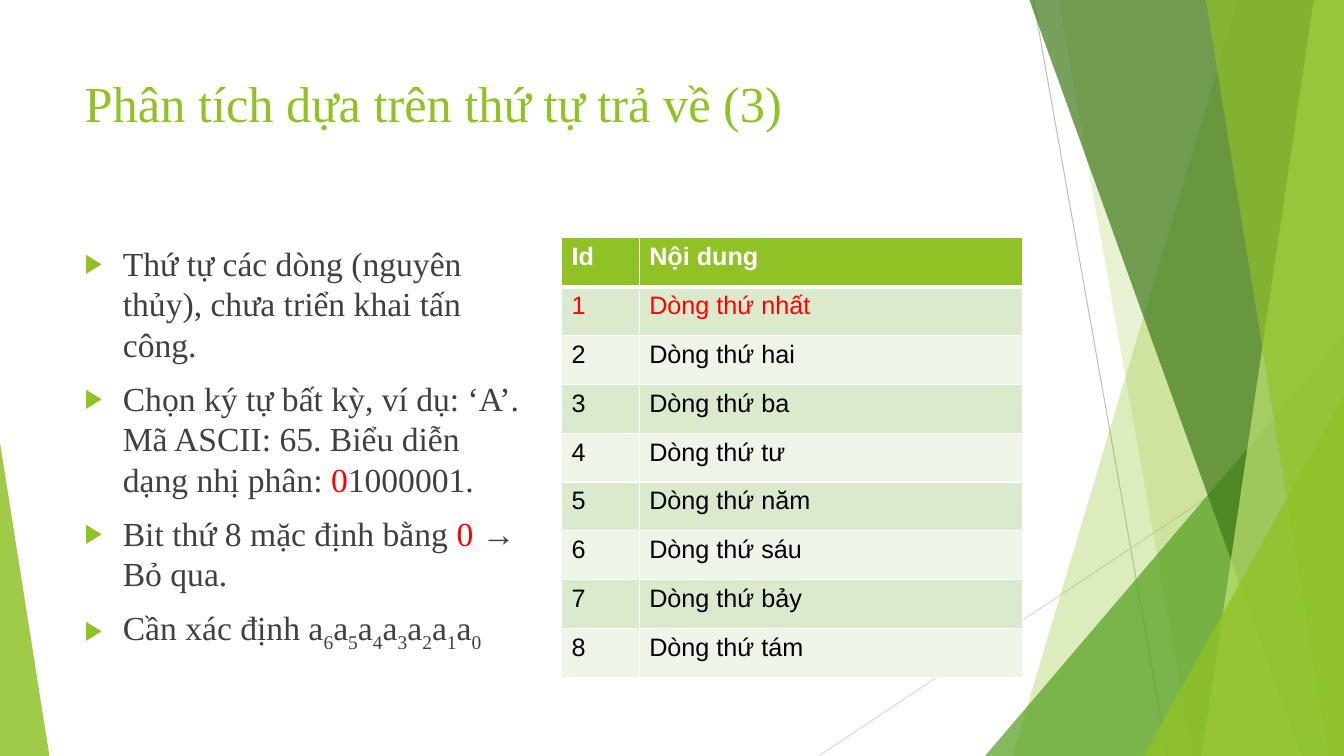
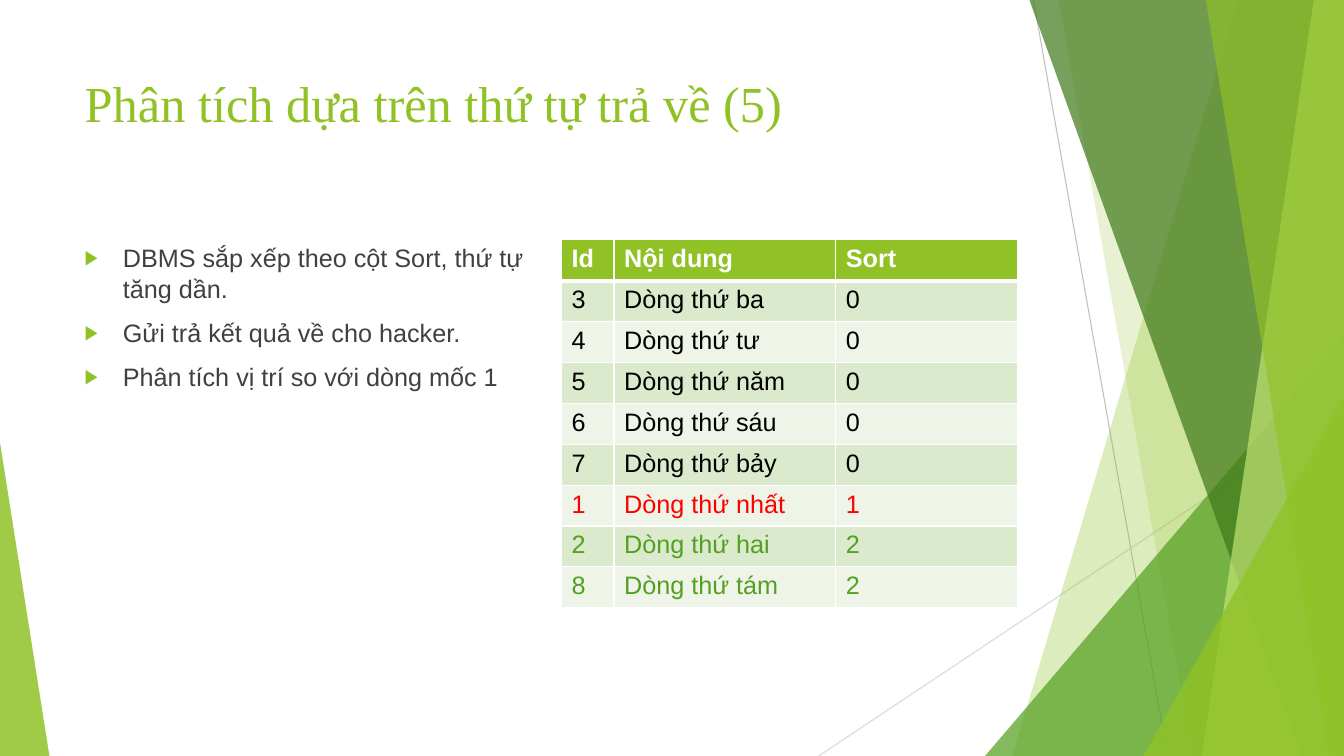
from itertools import chain
from lxml import etree
from pptx import Presentation
from pptx import util as u
from pptx.dml.color import RGBColor
from pptx.enum import shapes, text
from pptx.oxml import ns

WIDTH, HEIGHT = 13.33, 7.5
LEFT, CONTENT_TOP, BODY_WIDTH, TABLE_LEFT = 0.74, 2.36, 4.58, 5.57
TITLE_BOX = (LEFT, 0.67, 9.4, 1.44)
BODY_BOX = (LEFT, CONTENT_TOP, BODY_WIDTH, 4.24)

THEME = {
    "lime": "90C226", "green": "54A021", "forest": "3F7819", "pale": "C0E474",
    "text": "404040", "black": "000000", "white": "FFFFFF", "red": "FF0000",
    "band": ("DBE9CD", "EEF4E8"), "line": ("BFBFBF", "D9D9D9"),
    "serif": "Times New Roman", "sans": "Arial",
    "title_size": 36, "large_size": 24, "base_size": 18,
}

RAYS = [((10.25, 0), (11.58, HEIGHT)), ((WIDTH, 4.03), (8.12, HEIGHT))]
FACETS = [
    ("blade", 12.28, 10.04, "lime", 30),
    ("blade", 10.5, 11.83, "lime", 20),
    ("triangle", (9.77, 3.33, 3.56), 1, "green", 72),
    ("blade", 10.21, 12.91, "forest", 70),
    ("blade", 13.03, 11.92, "pale", 70),
    ("blade", 11.96, 13.18, "lime", 65),
    ("triangle", (11.34, 3.93, 1.99), 1, "lime", 80),
    ("triangle", (0, 4.39, 0.49), 0, "lime", 85),
]

ROW_NAMES = dict(zip(range(1, 9), ("nhất", "hai", "ba", "tư", "năm", "sáu", "bảy", "tám")))
SORTED_IDS = [(3, 0), (4, 0), (5, 0), (6, 0), (7, 0), (1, 1), (2, 2), (8, 2)]
BIT_RUNS = list(chain.from_iterable((("a", ""), (str(bit), "sub")) for bit in range(6, -1, -1)))

SLIDES = [
    {
        "title": "Phân tích dựa trên thứ tự trả về (3)",
        "font": "serif", "size": "large_size",
        "body": [
            [("Thứ tự các dòng (nguyên thủy), chưa triển khai tấn công.", "")],
            [("Chọn ký tự bất kỳ, ví dụ: ‘A’. Mã ASCII: 65. Biểu diễn dạng nhị phân: ", ""),
             ("0", "red"), ("1000001.", "")],
            [("Bit thứ 8 mặc định bằng ", ""), ("0 ", "red"), ("→ Bỏ qua.", "")],
            [("Cần xác định ", "")] + BIT_RUNS,
        ],
        "header": ("Id", "Nội dung"),
        "rows": [(key, f"Dòng thứ {name}") for key, name in ROW_NAMES.items()],
        "marks": {1: "red"},
        "table_top": CONTENT_TOP, "columns": (0.77, 3.8), "row_height": 4.36 / 9,
    },
    {
        "title": "Phân tích dựa trên thứ tự trả về (5)",
        "font": "sans", "size": "base_size",
        "body": [
            [("DBMS sắp xếp theo cột Sort, thứ tự tăng dần.", "")],
            [("Gửi trả kết quả về cho hacker.", "")],
            [("Phân tích vị trí so với dòng mốc 1", "")],
        ],
        "header": ("Id", "Nội dung", "Sort"),
        "rows": [(key, f"Dòng thứ {ROW_NAMES[key]}", order) for key, order in SORTED_IDS],
        "marks": {1: "red", 2: "green", 8: "green"},
        "table_top": 2.38, "columns": (0.52, 2.2, 1.8), "row_height": 3.65 / 9,
    },
]


def inches(*values):
    return [u.Inches(value) for value in values]


def child(parent, tag, **attributes):
    element = etree.SubElement(parent, ns.qn(tag))
    for name, value in attributes.items():
        element.set(name, str(value))
    return element


def apply(target, values):
    for name, value in values.items():
        setattr(target, name, value)


def style(font, face, size, color, bold=False):
    apply(font, {"name": THEME[face], "size": u.Pt(THEME[size]), "bold": bold})
    font.color.rgb = RGBColor.from_string(THEME[color])


def paint(shape, color, opacity):
    shape.shadow.inherit = False
    shape.line.fill.background()
    shape.fill.solid()
    shape.fill.fore_color.rgb = RGBColor.from_string(THEME[color])
    color_element = shape._element.spPr.find(ns.qn("a:solidFill"))[0]
    child(color_element, "a:alpha", val=opacity * 1000)


def add_blade(slide, top_x, bottom_x):
    points = [inches(*point) for point in
              ((top_x, 0), (WIDTH, 0), (WIDTH, HEIGHT), (bottom_x, HEIGHT))]
    builder = slide.shapes.build_freeform(*points[0])
    builder.add_line_segments(points[1:], close=True)
    return builder.convert_to_shape()


def add_triangle(slide, box, apex):
    left, top, width = box
    shape = slide.shapes.add_shape(shapes.MSO_SHAPE.ISOSCELES_TRIANGLE,
                                   *inches(left, top, width, HEIGHT - top))
    shape.adjustments[0] = apex
    return shape


def add_backdrop(slide):
    for (start, end), color in zip(RAYS, THEME["line"]):
        ray = slide.shapes.add_connector(shapes.MSO_CONNECTOR.STRAIGHT, *inches(*start, *end))
        ray.line.width = u.Pt(0.75)
        ray.line.color.rgb = RGBColor.from_string(color)
        child(ray._element.spPr, "a:effectLst")
    makers = {"blade": add_blade, "triangle": add_triangle}
    for kind, first, second, color, opacity in FACETS:
        paint(makers[kind](slide, first, second), color, opacity)


def add_title(slide, title):
    shape = slide.shapes.title
    apply(shape, dict(zip(("left", "top", "width", "height"), inches(*TITLE_BOX))))
    frame = shape.text_frame
    frame.text = title
    apply(frame, {"word_wrap": True, "auto_size": text.MSO_AUTO_SIZE.NONE,
                  "vertical_anchor": text.MSO_ANCHOR.TOP})
    paragraph = frame.paragraphs[0]
    paragraph.alignment = text.PP_ALIGN.LEFT
    style(paragraph.runs[0].font, "serif", "title_size", "lime")


def add_bullet(paragraph):
    paragraph.space_before = u.Pt(10)
    properties = paragraph._p.get_or_add_pPr()
    indent = u.Inches(0.38)
    properties.set("marL", str(indent))
    properties.set("indent", str(-indent))
    child(child(properties, "a:buClr"), "a:srgbClr", val=THEME["lime"])
    child(properties, "a:buSzPct", val=80000)
    child(properties, "a:buFont", typeface=THEME["sans"])
    child(properties, "a:buChar", char="▶")


def add_body(slide, content):
    frame = slide.shapes.add_textbox(*inches(*BODY_BOX)).text_frame
    frame.word_wrap = True
    for index, runs in enumerate(content["body"]):
        paragraph = frame.add_paragraph() if index else frame.paragraphs[0]
        add_bullet(paragraph)
        for words, mark in runs:
            run = paragraph.add_run()
            run.text = words
            style(run.font, content["font"], content["size"], "red" if mark == "red" else "text")
            if mark == "sub":
                run._r.get_or_add_rPr().set("baseline", "-25000")


def add_borders(cell, top, bottom):
    properties = cell._tc.get_or_add_tcPr()
    for side, points in (("L", 1), ("R", 1), ("T", top), ("B", bottom)):
        border = child(properties, f"a:ln{side}", w=u.Pt(points))
        child(child(border, "a:solidFill"), "a:srgbClr", val=THEME["white"])


def add_table(slide, content):
    rows = [content["header"]] + content["rows"]
    columns, row_height = content["columns"], content["row_height"]
    table = slide.shapes.add_table(
        len(rows), len(columns),
        *inches(TABLE_LEFT, content["table_top"], sum(columns), row_height * len(rows))).table
    for column, width in zip(table.columns, columns):
        column.width = u.Inches(width)
    for index, values in enumerate(rows):
        table.rows[index].height = u.Inches(row_height)
        is_header = index == 0
        fill = THEME["lime"] if is_header else THEME["band"][(index - 1) % 2]
        color = "white" if is_header else content["marks"].get(values[0], "black")
        for cell, value in zip(table.rows[index].cells, values):
            add_borders(cell, 3 if index == 1 else 1, 3 if is_header else 1)
            cell.fill.solid()
            cell.fill.fore_color.rgb = RGBColor.from_string(fill)
            cell.text = str(value)
            style(cell.text_frame.paragraphs[0].runs[0].font, "sans", "base_size", color, is_header)


def main():
    presentation = Presentation()
    apply(presentation, {"slide_width": u.Inches(WIDTH), "slide_height": u.Inches(HEIGHT)})
    for content in SLIDES:
        slide = presentation.slides.add_slide(presentation.slide_layouts[5])
        add_backdrop(slide)
        add_title(slide, content["title"])
        add_body(slide, content)
        add_table(slide, content)
    presentation.save("out.pptx")


if __name__ == "__main__":
    main()
